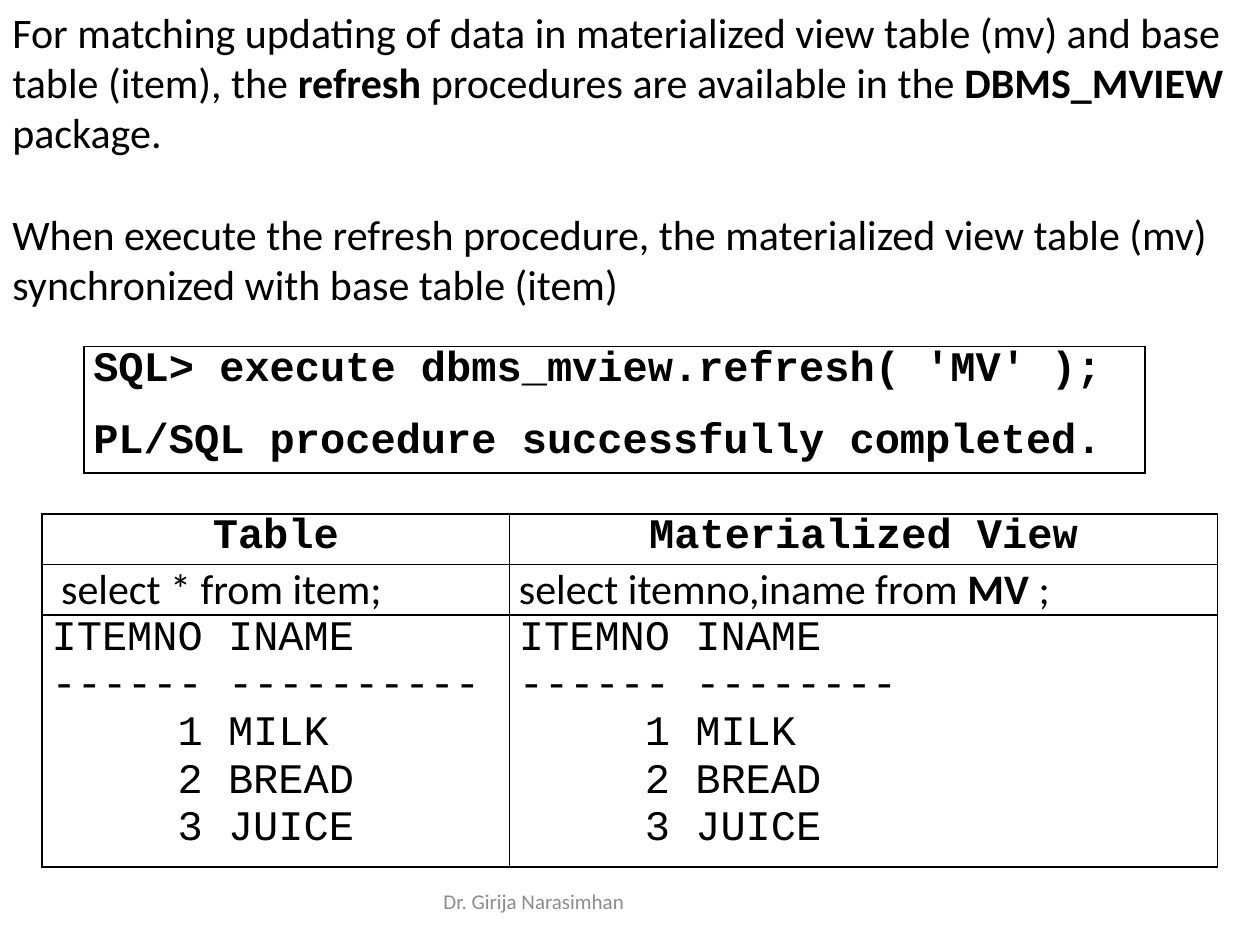
from lxml.etree import SubElement
from pptx import Presentation
from pptx.dml.color import RGBColor
from pptx.enum.text import MSO_ANCHOR, PP_ALIGN
from pptx.oxml.ns import qn
from pptx.util import Cm, Pt

THEME = {
    "sans": "Calibri",
    "mono": "Courier New",
    "ink": "000000",
    "muted": "8C8C8C",
    "body": 24,
    "small": 12,
    "border": 1,
}

SANS = {"name": THEME["sans"], "size": Pt(THEME["body"]), "bold": False}
MONO = {**SANS, "name": THEME["mono"]}
SANS_BOLD = {**SANS, "bold": True}
MONO_BOLD = {**MONO, "bold": True}
FOOTER = {**SANS, "size": Pt(THEME["small"])}

BLANK_LINE = {"space_after": Pt(29)}
CENTERED = {"alignment": PP_ALIGN.CENTER}
ONE_AND_HALF = {"line_spacing": 1.5}
PLAIN = {}
NUMBER_INDENT = Cm(2.54)

INTRODUCTION = [
    (BLANK_LINE, [
        ("For matching updating of data in materialized view table (mv) and base table (item), the ", SANS),
        ("refresh", SANS_BOLD),
        (" procedures are available in the ", SANS),
        ("DBMS_MVIEW", SANS_BOLD),
        (" package.", SANS),
    ]),
    (PLAIN, [("When execute the refresh procedure, the materialized view table (mv) "
              "synchronized with base table (item)", SANS)]),
]

COMMAND = [[[
    (PLAIN, [("SQL> execute dbms_mview.refresh( 'MV' );", MONO_BOLD)]),
    (ONE_AND_HALF, [("PL/SQL procedure successfully completed.", MONO_BOLD)]),
]]]

ITEMS = ["1 MILK", "2 BREAD", "3 JUICE"]
CREDIT = [(PLAIN, [("Dr. Girija Narasimhan", FOOTER)])]


def query_result(rule):
    return [(PLAIN, [(line, MONO)]) for line in ["ITEMNO INAME", rule, *ITEMS]]


COMPARISON = [
    [[(CENTERED, [(title, MONO_BOLD)])] for title in ("Table", "Materialized View")],
    [
        [(PLAIN, [(" select * from item;", SANS)])],
        [(PLAIN, [("select itemno,iname from ", SANS), ("MV", SANS_BOLD), (" ;", SANS)])],
    ],
    [query_result("------ ----------"), query_result("------ --------")],
]


def apply(target, values):
    for name, value in values.items():
        setattr(target, name, value)


def write(frame, paragraphs, color=THEME["ink"]):
    for index, (layout, spans) in enumerate(paragraphs):
        para = frame.paragraphs[0] if index == 0 else frame.add_paragraph()
        apply(para, {"alignment": PP_ALIGN.LEFT, **layout})
        if spans[0][0] in ITEMS:
            para._p.get_or_add_pPr().set("marL", str(NUMBER_INDENT))
        for text, style in spans:
            span = para.add_run()
            span.text = text
            apply(span.font, style)
            span.font.color.rgb = RGBColor.from_string(color)


def add_text(page, area, paragraphs, color=THEME["ink"], anchor=MSO_ANCHOR.TOP):
    box = page.shapes.add_textbox(*map(Cm, area))
    apply(box.text_frame, {"word_wrap": True, "vertical_anchor": anchor})
    write(box.text_frame, paragraphs, color)


def outline(cell):
    properties = cell._tc.get_or_add_tcPr()
    for side in ("lnL", "lnR", "lnT", "lnB"):
        line = SubElement(properties, qn(f"a:{side}"), w=str(Pt(THEME["border"])))
        fill = SubElement(line, qn("a:solidFill"))
        SubElement(fill, qn("a:srgbClr"), val=THEME["ink"])
    cell.fill.background()


def add_grid(page, left, top, widths, heights, content):
    size = (sum(widths), sum(heights))
    grid = page.shapes.add_table(
        len(heights), len(widths), *map(Cm, (left, top, *size))).table
    apply(grid, {"first_row": False, "horz_banding": False})
    for column, width in zip(grid.columns, widths):
        column.width = Cm(width)
    for row, height, entries in zip(grid.rows, heights, content):
        row.height = Cm(height)
        for cell, paragraphs in zip(row.cells, entries):
            apply(cell, {"margin_left": Cm(0.19), "margin_right": Cm(0.19),
                         "margin_top": 0, "margin_bottom": 0})
            outline(cell)
            write(cell.text_frame, paragraphs)


def main():
    deck = Presentation()
    apply(deck, {"slide_width": Cm(25.4), "slide_height": Cm(19.05)})
    page = deck.slides.add_slide(deck.slide_layouts[6])
    add_text(page, (8.69, 17.65, 8.05, 1.02), CREDIT, THEME["muted"], MSO_ANCHOR.MIDDLE)
    add_text(page, (0, 0, 25.4, 6.4), INTRODUCTION)
    add_grid(page, 0.85, 10.36, [9.42, 14.27], [1.02, 1.02, 5.08], COMPARISON)
    add_grid(page, 1.69, 6.99, [21.39], [2.54], COMMAND)
    deck.save("out.pptx")


if __name__ == "__main__":
    main()
